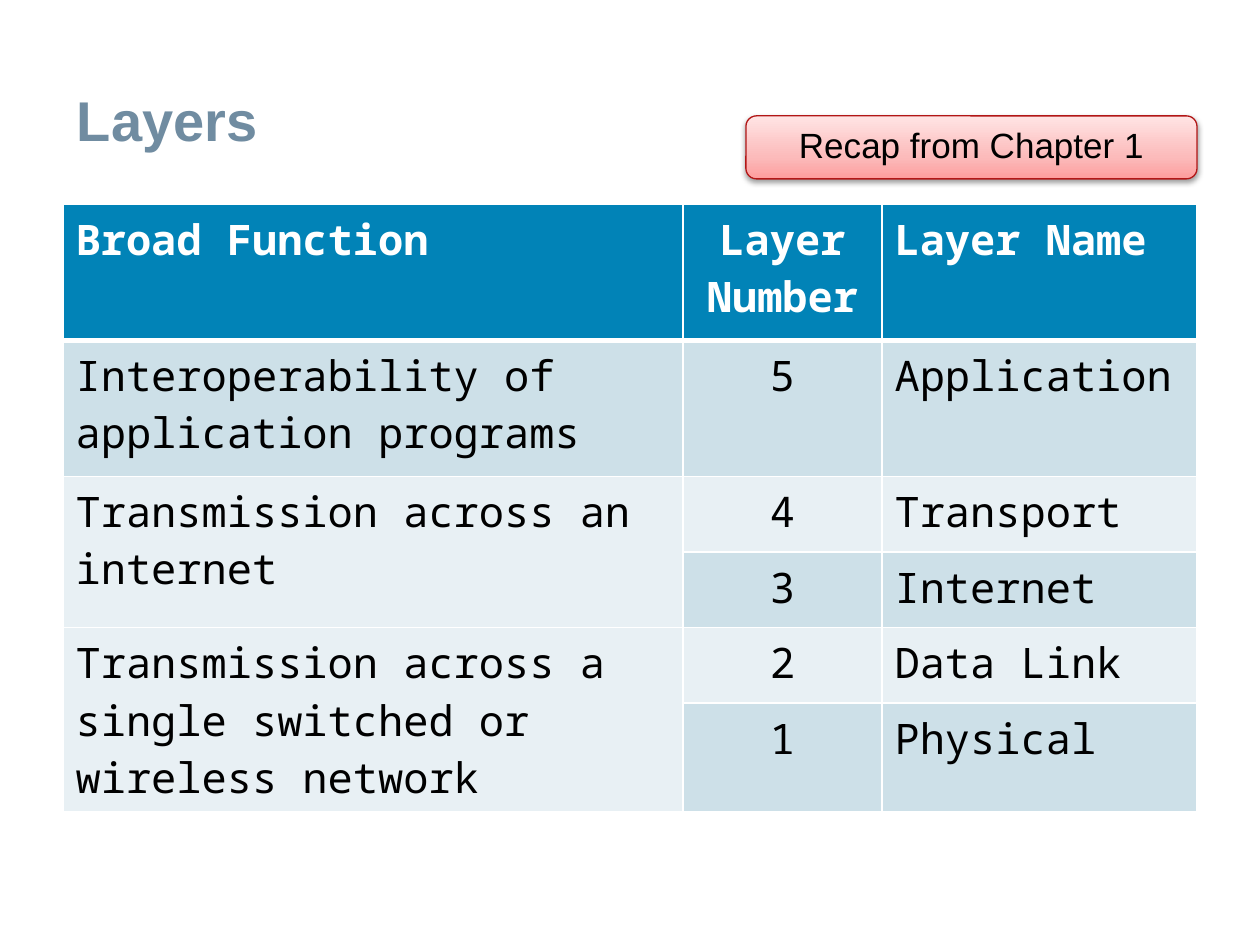
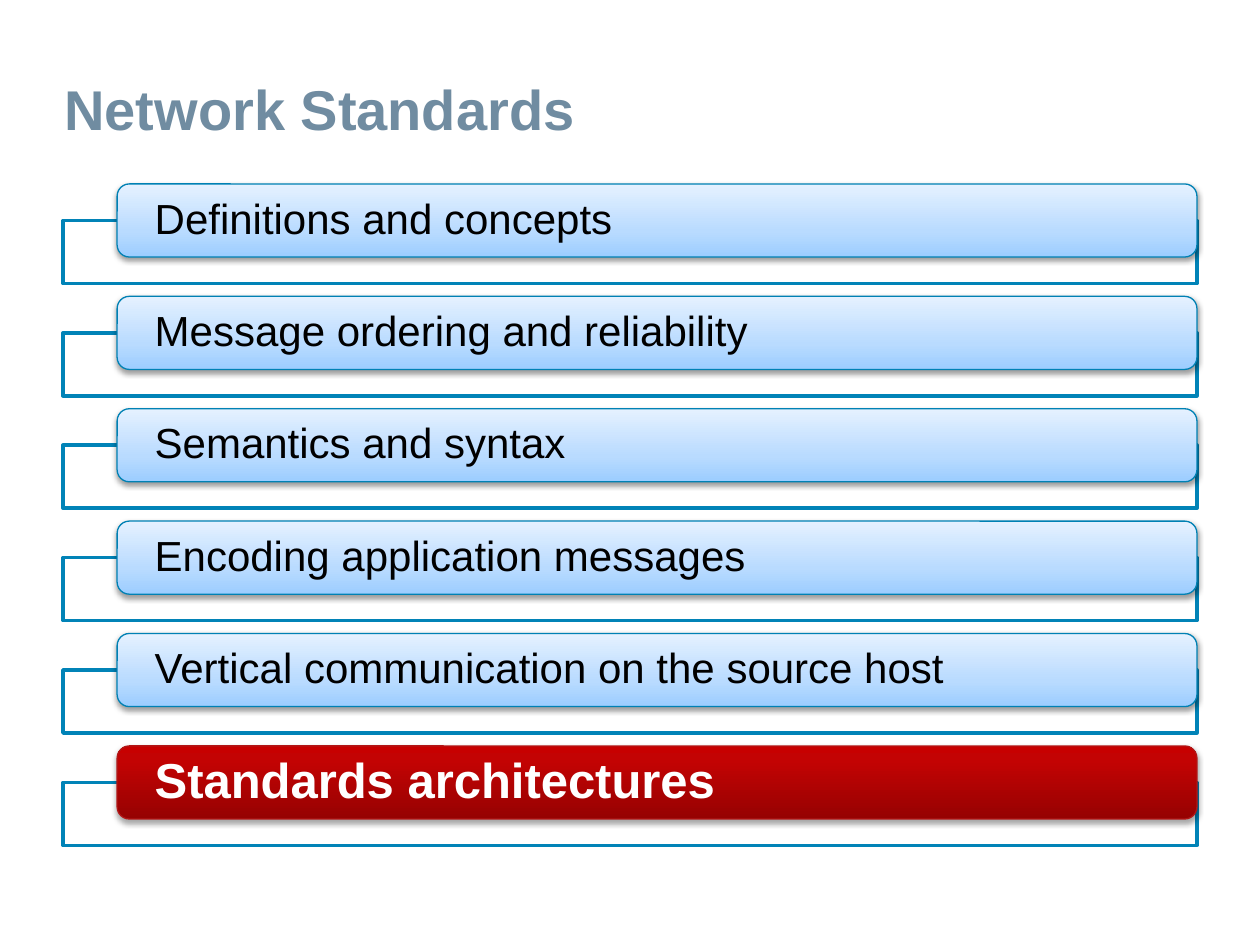
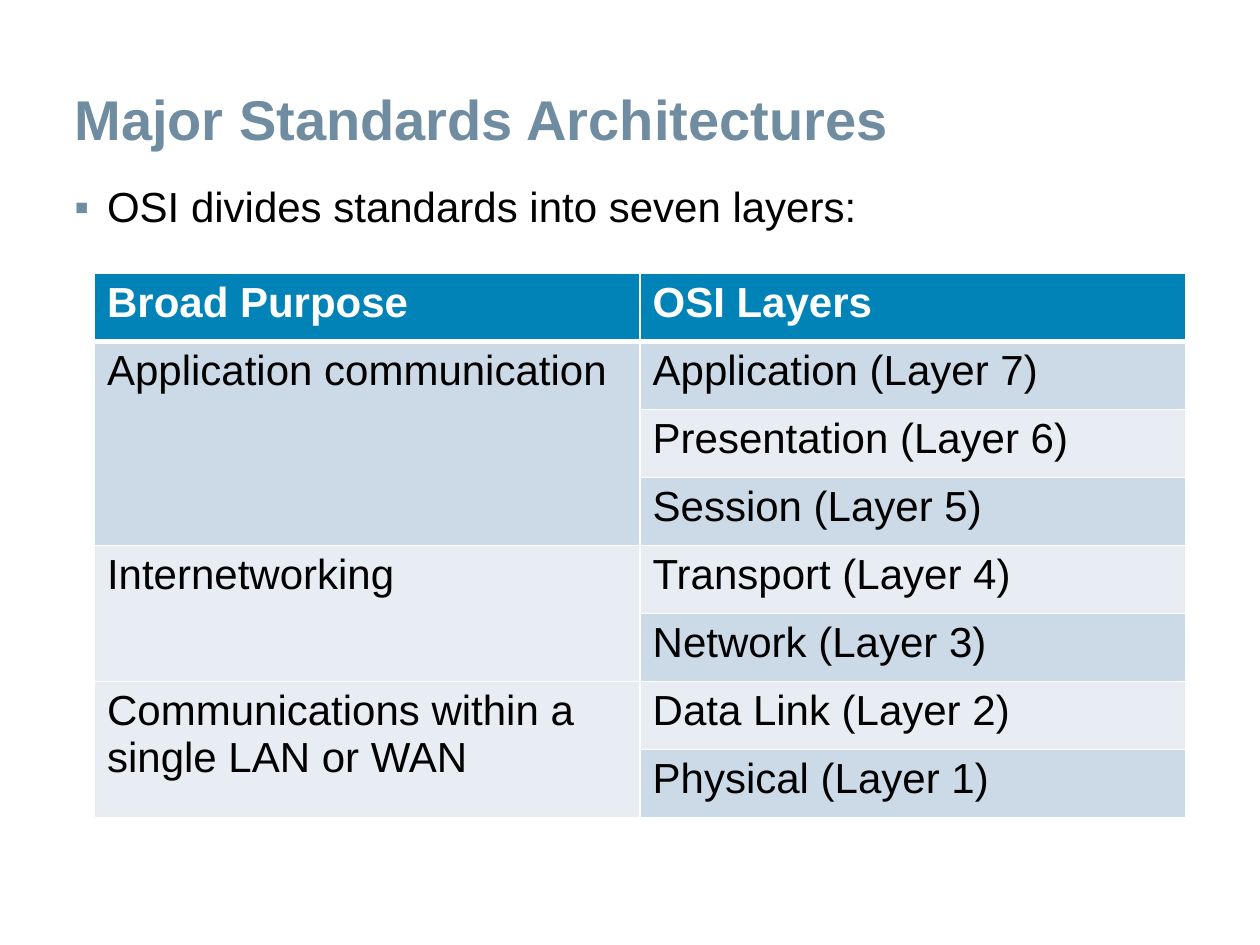
from pptx import Presentation
from pptx.dml.color import RGBColor
from pptx.enum import shapes, text
from pptx.oxml import parse_xml
from pptx.oxml.ns import nsdecls, qn
from pptx.util import Inches, Pt

COLORS = {
    "title": "708CA1",
    "accent": "0183B7",
    "bar_line": "0081B4",
    "red_line": "B21616",
    "white": "FFFFFF",
    "black": "000000",
}
SANS, MONO = "Arial", "Noto Sans Mono"
GRADIENTS = {
    "pink": [(0, "FD9D9D"), (35, "FCBBBB"), (100, "FFE4E4")],
    "blue": [(0, "9CCDFF"), (35, "B9DBFF"), (100, "E5F1FF")],
    "red": [(0, "960202"), (80, "C30303"), (100, "C70000")],
}
LAYERS = {
    "rows": [
        ("Broad Function", "Layer Number", "Layer Name"),
        ("Interoperability of application programs", "5", "Application"),
        ("Transmission across an internet", "4", "Transport"),
        (None, "3", "Internet"),
        ("Transmission across a single switched or wireless network", "2", "Data Link"),
        (None, "1", "Physical"),
    ],
    "origin": (0.5, 1.62),
    "widths": [4.92, 1.58, 2.5],
    "heights": [1.08] * 2 + [0.6] * 4,
    "bands": ("E8F0F4", "CDE0E8"),
    "font": MONO,
    "centered": {1},
}
OSI = {
    "rows": [
        ("Broad Purpose", "OSI Layers"),
        ("Application communication", "Application (Layer 7)"),
        (None, "Presentation (Layer 6)"),
        (None, "Session (Layer 5)"),
        ("Internetworking", "Transport (Layer 4)"),
        (None, "Network (Layer 3)"),
        ("Communications within a single LAN or WAN", "Data Link (Layer 2)"),
        (None, "Physical (Layer 1)"),
    ],
    "origin": (0.75, 2.17),
    "widths": [4.33] * 2,
    "heights": [0.54] * 8,
    "bands": ("E7EDF3", "CCD9E6"),
    "font": SANS,
    "centered": set(),
}
TOPICS = [
    "Definitions and concepts",
    "Message ordering and reliability",
    "Semantics and syntax",
    "Encoding application messages",
    "Vertical communication on the source host",
    "Standards architectures",
]
CURRENT_TOPIC = TOPICS[-1]
TOPIC_TOP, TOPIC_PITCH = 1.46, 0.892


def rgb(name):
    return RGBColor.from_string(COLORS.get(name, name))


def box(*lengths):
    return [Inches(length) for length in lengths]


def write(frame, words, size, color, bold=False, font=SANS,
          align=text.PP_ALIGN.LEFT, spacing=None):
    frame.text = words
    frame.word_wrap = True
    paragraph = frame.paragraphs[0]
    paragraph.alignment = align
    paragraph.line_spacing = spacing
    face = paragraph.runs[0].font
    face.name, face.size, face.bold = font, Pt(size), bold
    face.color.rgb = rgb(color)
    return paragraph


def place(placeholder, at):
    placeholder.left, placeholder.top, placeholder.width, placeholder.height = box(*at)
    frame = placeholder.text_frame
    frame.auto_size = text.MSO_AUTO_SIZE.NONE
    frame.margin_left = frame.margin_right = Inches(0.09)
    frame.margin_top = frame.margin_bottom = Inches(0.04)
    return frame


def add_slide(deck, title, at, layout=5):
    slide = deck.slides.add_slide(deck.slide_layouts[layout])
    frame = place(slide.shapes.title, at)
    frame.vertical_anchor = text.MSO_ANCHOR.BOTTOM
    write(frame, title, 32, "title", bold=True, spacing=0.9)
    return slide


def add_bar(slide, at, gradient, line, words, size, color, shadow=(38, 1.57), **style):
    bar = slide.shapes.add_shape(shapes.MSO_SHAPE.ROUNDED_RECTANGLE, *box(*at))
    bar.fill.gradient()
    bar.fill.gradient_angle = 90
    properties = bar._element.spPr
    stops = properties.find(qn("a:gradFill")).find(qn("a:gsLst"))
    for stop in list(stops):
        stops.remove(stop)
    for position, shade in GRADIENTS[gradient]:
        stops.append(parse_xml(
            f'<a:gs {nsdecls("a")} pos="{position * 1000}"><a:srgbClr val="{shade}"/></a:gs>'))
    bar.line.color.rgb = rgb(line)
    bar.line.width = Pt(0.75)
    opacity, distance = shadow
    properties.append(parse_xml(
        f'<a:effectLst {nsdecls("a")}><a:outerShdw blurRad="{Pt(3.15)}" dist="{Pt(distance)}" '
        f'dir="5400000" rotWithShape="0"><a:srgbClr val="{COLORS["black"]}">'
        f'<a:alpha val="{opacity * 1000}"/></a:srgbClr></a:outerShdw></a:effectLst>'))
    bar.text_frame.vertical_anchor = text.MSO_ANCHOR.MIDDLE
    write(bar.text_frame, words, size, color, spacing=0.9, **style)
    return bar


def set_borders(cell, top, bottom):
    properties = cell._tc.get_or_add_tcPr()
    for index, (side, width) in enumerate(zip("LRTB", (1, 1, top, bottom))):
        properties.insert(index, parse_xml(
            f'<a:ln{side} {nsdecls("a")} w="{Pt(width)}"><a:solidFill>'
            f'<a:srgbClr val="{COLORS["white"]}"/></a:solidFill></a:ln{side}>'))


def add_layer_table(slide, content):
    rows, widths, heights = content["rows"], content["widths"], content["heights"]
    table = slide.shapes.add_table(
        len(rows), len(widths),
        *box(*content["origin"], sum(widths), sum(heights))).table
    for column, width in zip(table.columns, widths):
        column.width = Inches(width)
    for row, height in zip(table.rows, heights):
        row.height = Inches(height)
    starts = [r for r, row in enumerate(rows) if row[0]]
    for start, end in zip(starts, starts[1:] + [len(rows)]):
        if end - start > 1:
            table.cell(start, 0).merge(table.cell(end - 1, 0))
    for r, row in enumerate(rows):
        header = r == 0
        for c, words in enumerate(row):
            cell = table.cell(r, c)
            cell.fill.solid()
            cell.fill.fore_color.rgb = rgb("accent" if header else content["bands"][r % 2])
            set_borders(cell, 3 if r == 1 else 1, 3 if header else 1)
            if words:
                align = text.PP_ALIGN.CENTER if c in content["centered"] else text.PP_ALIGN.LEFT
                write(cell.text_frame, words, 24, "white" if header else "black",
                      header, content["font"], align)


def build_layers(deck):
    slide = add_slide(deck, "Layers", (0.52, 0.34, 9.29, 0.92))
    add_layer_table(slide, LAYERS)
    add_bar(slide, (5.92, 0.92, 3.58, 0.5), "pink", "red_line",
            "Recap from Chapter 1", 20, "black", align=text.PP_ALIGN.CENTER)


def build_topics(deck):
    slide = add_slide(deck, "Network Standards", (0.42, 0.3, 9, 0.87))
    for index, topic in enumerate(TOPICS):
        top = TOPIC_TOP + index * TOPIC_PITCH
        bracket = slide.shapes.add_shape(
            shapes.MSO_SHAPE.RECTANGLE, *box(0.5, top + 0.29, 9, 0.5))
        bracket.shadow.inherit = False
        bracket.fill.solid()
        bracket.fill.fore_color.rgb = rgb("white")
        bracket.line.color.rgb = rgb("accent")
        bracket.line.width = Pt(2)
        at = (0.93, top, 8.57, 0.58)
        if topic == CURRENT_TOPIC:
            bar = add_bar(slide, at, "red", "red_line", topic, 28, "white",
                          shadow=(35, 1.81), bold=True)
        else:
            bar = add_bar(slide, at, "blue", "bar_line", topic, 24, "black")
        frame = bar.text_frame
        frame.margin_left = frame.margin_right = Inches(0.27)
        frame.margin_top = frame.margin_bottom = 0


def build_osi(deck):
    slide = add_slide(deck, "Major Standards Architectures", (0.5, 0.34, 9, 0.91), layout=1)
    frame = place(slide.placeholders[1], (0.5, 1.42, 8.67, 0.58))
    intro = write(frame, "OSI divides standards into seven layers:", 24, "black", spacing=0.95)
    intro.space_before = Pt(0)
    properties = intro._p.get_or_add_pPr()
    properties.set("marL", str(Inches(0.26)))
    properties.set("indent", str(-Inches(0.26)))
    for tag in (f'buClr {nsdecls("a")}><a:srgbClr val="{COLORS["title"]}"/></a:buClr',
                f'buFont {nsdecls("a")} typeface="{SANS}"/',
                f'buChar {nsdecls("a")} char="▪"/'):
        properties.append(parse_xml(f"<a:{tag}>"))
    add_layer_table(slide, OSI)


def main():
    deck = Presentation()
    deck.slide_width, deck.slide_height = box(10, 7.5)
    build_layers(deck)
    build_topics(deck)
    build_osi(deck)
    deck.save("out.pptx")


if __name__ == "__main__":
    main()
